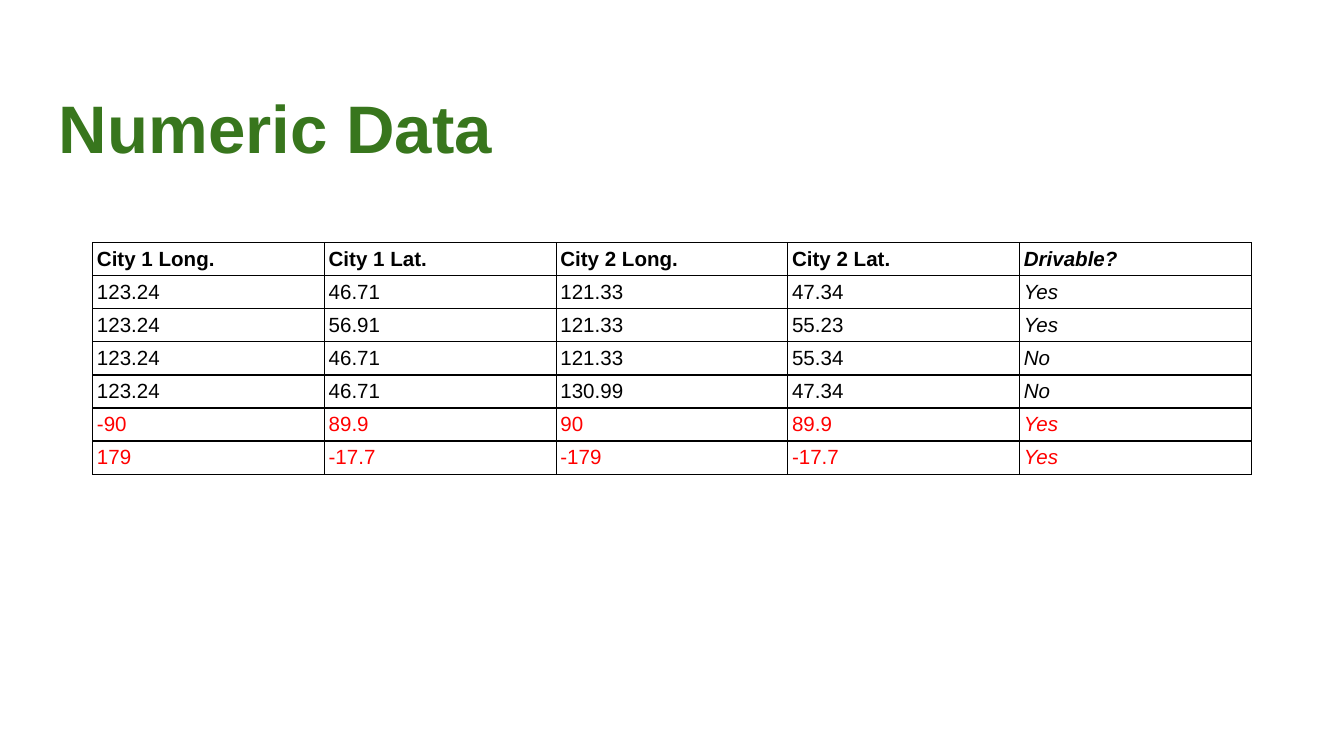
from dataclasses import dataclass

from lxml.etree import SubElement
from pptx import Presentation
from pptx.dml.color import RGBColor
from pptx.enum.text import MSO_ANCHOR
from pptx.oxml.ns import qn
from pptx.slide import Slide
from pptx.table import _Cell
from pptx.text.text import TextFrame
from pptx.util import Pt

BLACK, RED, GREEN, WHITE = "000000", "FF0000", "38761D", "FFFFFF"
COLUMN_WIDTH, ROW_HEIGHT = 124.13, 17.15
CELL_MARGIN = 2.25
BORDER_WIDTH = 0.75


@dataclass
class TextStyle:
    size: float
    color: str
    bold: bool = False
    italic: bool = False


@dataclass
class CityRow:
    values: tuple[str, ...]
    color: str = BLACK
    bold: bool = False


ROWS = [
    CityRow(("City 1 Long.", "City 1 Lat.", "City 2 Long.", "City 2 Lat.", "Drivable?"), bold=True),
    CityRow(("123.24", "46.71", "121.33", "47.34", "Yes")),
    CityRow(("123.24", "56.91", "121.33", "55.23", "Yes")),
    CityRow(("123.24", "46.71", "121.33", "55.34", "No")),
    CityRow(("123.24", "46.71", "130.99", "47.34", "No")),
    CityRow(("-90", "89.9", "90", "89.9", "Yes"), RED),
    CityRow(("179", "-17.7", "-179", "-17.7", "Yes"), RED),
]


def rgb(color: str) -> RGBColor:
    return RGBColor.from_string(color)


def write_text(text_frame: TextFrame, text: str, style: TextStyle) -> None:
    text_frame.text = text
    font = text_frame.paragraphs[0].runs[0].font
    font.name = "Arial"
    font.size = Pt(style.size)
    font.bold = style.bold
    font.italic = style.italic
    font.color.rgb = rgb(style.color)


def add_borders(cell: _Cell) -> None:
    """Outline the cell; call before filling, as borders precede the fill in the XML."""
    properties = cell._tc.get_or_add_tcPr()
    for side in ("a:lnL", "a:lnR", "a:lnT", "a:lnB"):
        line = SubElement(properties, qn(side), w=str(Pt(BORDER_WIDTH)))
        fill = SubElement(line, qn("a:solidFill"))
        SubElement(fill, qn("a:srgbClr"), val=BLACK)


def add_title(slide: Slide, text: str) -> None:
    title = slide.shapes.add_textbox(Pt(24.5), Pt(35.3), Pt(671), Pt(45.4))
    text_frame = title.text_frame
    text_frame.word_wrap = True
    text_frame.margin_left = text_frame.margin_right = Pt(7.2)
    text_frame.margin_top = Pt(10.8)
    text_frame.margin_bottom = Pt(7.2)
    write_text(text_frame, text, TextStyle(36, GREEN, bold=True))


def add_city_table(slide: Slide, rows: list[CityRow]) -> None:
    column_count = len(rows[0].values)
    table = slide.shapes.add_table(
        len(rows), column_count, Pt(49.7), Pt(130),
        Pt(COLUMN_WIDTH * column_count), Pt(ROW_HEIGHT * len(rows)),
    ).table
    for column in table.columns:
        column.width = Pt(COLUMN_WIDTH)
    for row_index, row in enumerate(rows):
        table.rows[row_index].height = Pt(ROW_HEIGHT)
        for column_index, value in enumerate(row.values):
            cell = table.cell(row_index, column_index)
            add_borders(cell)
            cell.fill.solid()
            cell.fill.fore_color.rgb = rgb(WHITE)
            cell.margin_left = cell.margin_right = Pt(CELL_MARGIN)
            cell.margin_top = cell.margin_bottom = Pt(CELL_MARGIN)
            cell.vertical_anchor = MSO_ANCHOR.MIDDLE
            is_label = column_index == column_count - 1
            write_text(cell.text_frame, value, TextStyle(11, row.color, row.bold, is_label))


def main() -> None:
    presentation = Presentation()
    presentation.slide_width = Pt(720)
    presentation.slide_height = Pt(405)
    slide = presentation.slides.add_slide(presentation.slide_layouts[6])
    add_title(slide, "Numeric Data")
    add_city_table(slide, ROWS)
    presentation.save("out.pptx")


if __name__ == "__main__":
    main()
